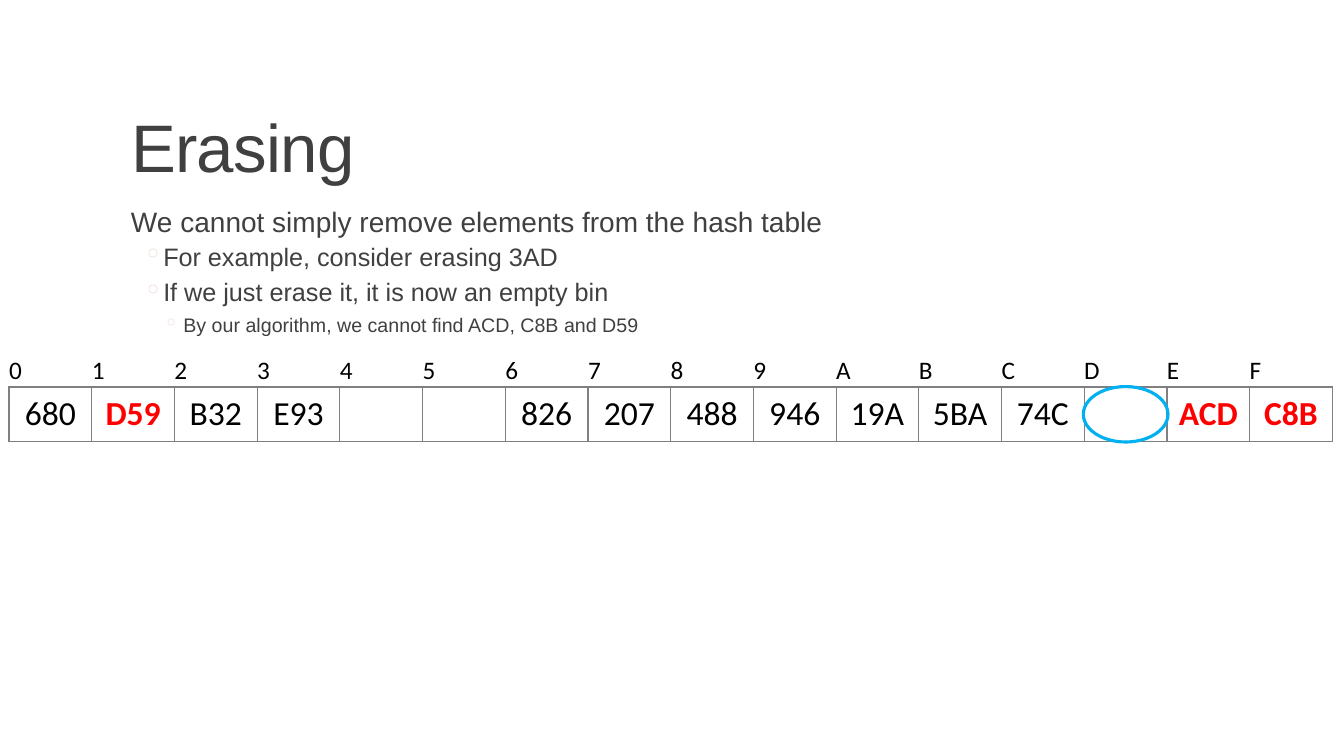
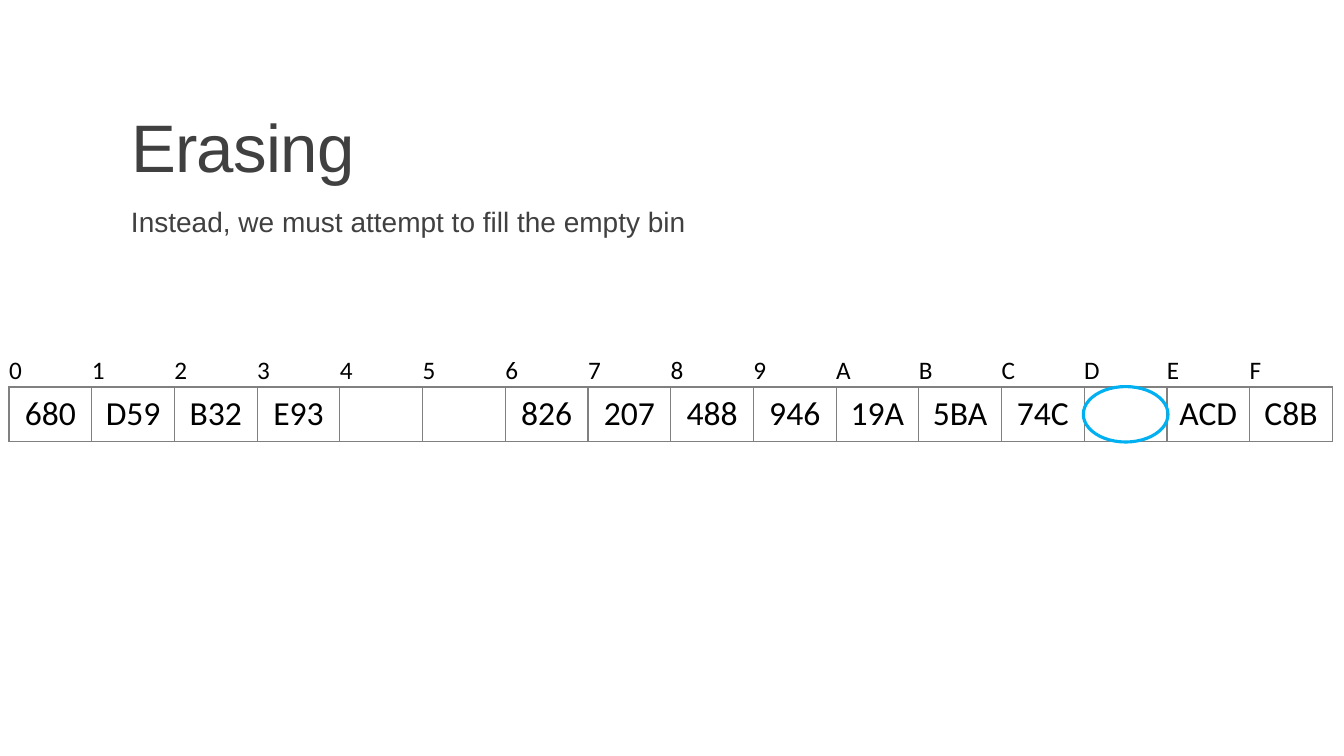
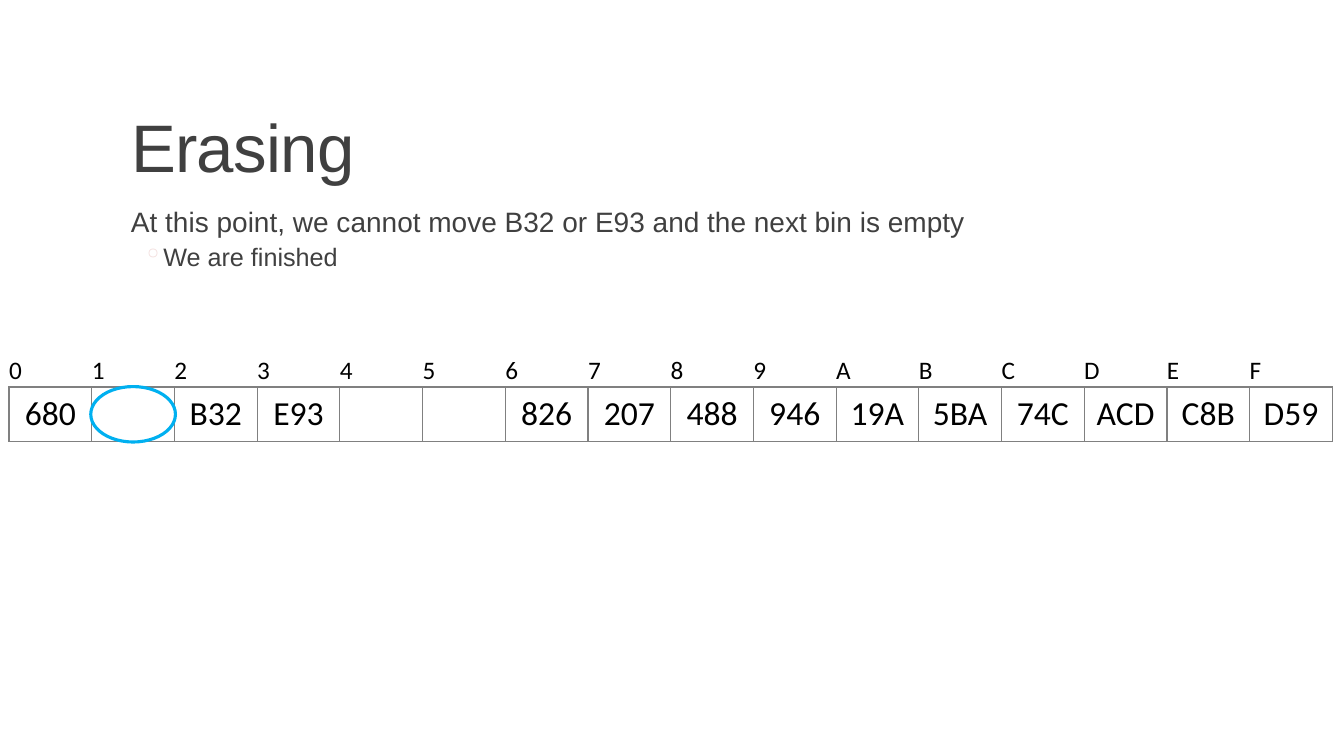
from lxml.etree import SubElement as Sub
from pptx import Presentation
from pptx.dml.color import RGBColor
from pptx.enum.shapes import MSO_SHAPE as Shape
from pptx.enum.text import MSO_ANCHOR as Anchor, MSO_AUTO_SIZE as Auto, PP_ALIGN as Align
from pptx.oxml.ns import qn
from pptx.util import Pt

BINS = "0123456789ABCDEF"
LEVELS = [
    dict(size=20, margin=7.2, hang=0, before=12, after=2),
    dict(size=18, margin=30.24, hang=14.4, before=2, after=4),
    dict(size=14, margin=44.64, hang=14.4, before=2, after=4),
]
SLIDES = [
    ([(0, "We cannot simply remove elements from the hash table"),
      (1, "For example, consider erasing 3AD"),
      (1, "If we just erase it, it is now an empty bin"),
      (2, "By our algorithm, we cannot find ACD, C8B and D59")],
     {"1": "D59", "E": "ACD", "F": "C8B"}, "D", "1EF"),
    ([(0, "Instead, we must attempt to fill the empty bin")],
     {"1": "D59", "E": "ACD", "F": "C8B"}, "D", ""),
    ([(0, "At this point, we cannot move B32 or E93 and the next bin is empty"),
      (1, "We are finished")],
     {"D": "ACD", "E": "C8B", "F": "D59"}, "1", ""),
]
FIXED = {"0": "680", "2": "B32", "3": "E93", "6": "826", "7": "207",
         "8": "488", "9": "946", "A": "19A", "B": "5BA", "C": "74C"}


def rgb(color):
    return RGBColor.from_string(color)


class Deck:
    """Holds the style and the current slide of the hash table deck."""

    TEXT, BULLET, GRID, RING = "404040", "F2DCDB", "808080", "00B0F0"
    BLACK, LOST = "000000", "FF0000"
    BODY_FONT, TABLE_FONT = "Arial", "Calibri"
    LEFT, WIDTH = 86.4, 792
    TABLE_LEFT, TABLE_TOP, BIN_W = 6.48, 252.72, 59.08
    ROWS = (23.76, 38.88)

    def __init__(self):
        self.prs = Presentation()
        self.prs.slide_width, self.prs.slide_height = Pt(960), Pt(540)

    def run(self, p, text, size, font, color, bold=False):
        r = p.add_run()
        r.text = text
        r.font.size, r.font.name, r.font.bold = Pt(size), font, bold
        r.font.color.rgb = rgb(color)
        return r

    def slide(self, title):
        self.s = self.prs.slides.add_slide(self.prs.slide_layouts[5])
        sp = self.s.shapes.title
        sp.left, sp.top = Pt(self.LEFT), Pt(22.32)
        sp.width, sp.height = Pt(self.WIDTH), Pt(114.48)
        tf = sp.text_frame
        tf.vertical_anchor, tf.auto_size = Anchor.BOTTOM, Auto.NONE
        p = tf.paragraphs[0]
        p.alignment, p.line_spacing = Align.LEFT, 0.85
        r = self.run(p, title, 48, self.BODY_FONT, self.TEXT)
        r.font._element.set("spc", "-50")

    def body(self, lines):
        sp = self.s.shapes.add_textbox(Pt(self.LEFT), Pt(145.44), Pt(self.WIDTH), Pt(316.8))
        tf = sp.text_frame
        tf.word_wrap = True
        tf.margin_left = tf.margin_right = 0
        for i, (level, text) in enumerate(lines):
            look = LEVELS[level]
            p = tf.add_paragraph() if i else tf.paragraphs[0]
            p.level, p.line_spacing = level, 0.9
            p.space_before, p.space_after = Pt(look["before"]), Pt(look["after"])
            pPr = p._p.get_or_add_pPr()
            pPr.set("marL", str(Pt(look["margin"])))
            pPr.set("indent", str(-Pt(look["hang"])))
            if level:
                Sub(Sub(pPr, qn("a:buClr")), qn("a:srgbClr"), val=self.BULLET)
                Sub(pPr, qn("a:buChar"), char="◦")
            self.run(p, text, look["size"], self.BODY_FONT, self.TEXT)

    def borders(self, cell, sides):
        tcPr = cell._tc.get_or_add_tcPr()
        for side in "LRTB":
            ln = Sub(tcPr, qn("a:ln" + side), w=str(Pt(1)))
            if side in sides:
                Sub(Sub(ln, qn("a:solidFill")), qn("a:srgbClr"), val=self.GRID)
            else:
                Sub(ln, qn("a:noFill"))

    def cell(self, cell, text, size, align, sides, lost=False):
        self.borders(cell, sides)
        cell.fill.background()
        cell.vertical_anchor = Anchor.MIDDLE
        cell.margin_left = cell.margin_right = cell.margin_top = cell.margin_bottom = 0
        p = cell.text_frame.paragraphs[0]
        p.alignment = align
        if text:
            self.run(p, text, size, self.TABLE_FONT, self.LOST if lost else self.BLACK, lost)

    def table(self, values, lost):
        tbl = self.s.shapes.add_table(2, len(BINS), Pt(self.TABLE_LEFT), Pt(self.TABLE_TOP),
                                      Pt(self.BIN_W * len(BINS)), Pt(sum(self.ROWS))).table
        tbl.first_row = tbl.horz_banding = False
        for row, height in zip(tbl.rows, self.ROWS):
            row.height = Pt(height)
        for i, name in enumerate(BINS):
            tbl.columns[i].width = Pt(self.BIN_W)
            self.cell(tbl.cell(0, i), name, 18, Align.LEFT, "B")
            self.cell(tbl.cell(1, i), values.get(name), 24, Align.CENTER, "LRTB", name in lost)

    def ring(self, name):
        w, h = 60.48, 39.6
        x = self.TABLE_LEFT + BINS.index(name) * self.BIN_W + (self.BIN_W - w) / 2
        y = self.TABLE_TOP + self.ROWS[0] + (self.ROWS[1] - h) / 2
        sp = self.s.shapes.add_shape(Shape.OVAL, Pt(x), Pt(y), Pt(w), Pt(h))
        sp.shadow.inherit = False
        sp.fill.background()
        sp.line.color.rgb, sp.line.width = rgb(self.RING), Pt(2.25)


def main():
    deck = Deck()
    for lines, moved, empty, lost in SLIDES:
        deck.slide("Erasing")
        deck.body(lines)
        deck.table(FIXED | moved, lost)
        deck.ring(empty)
    deck.prs.save("out.pptx")


if __name__ == "__main__":
    main()
